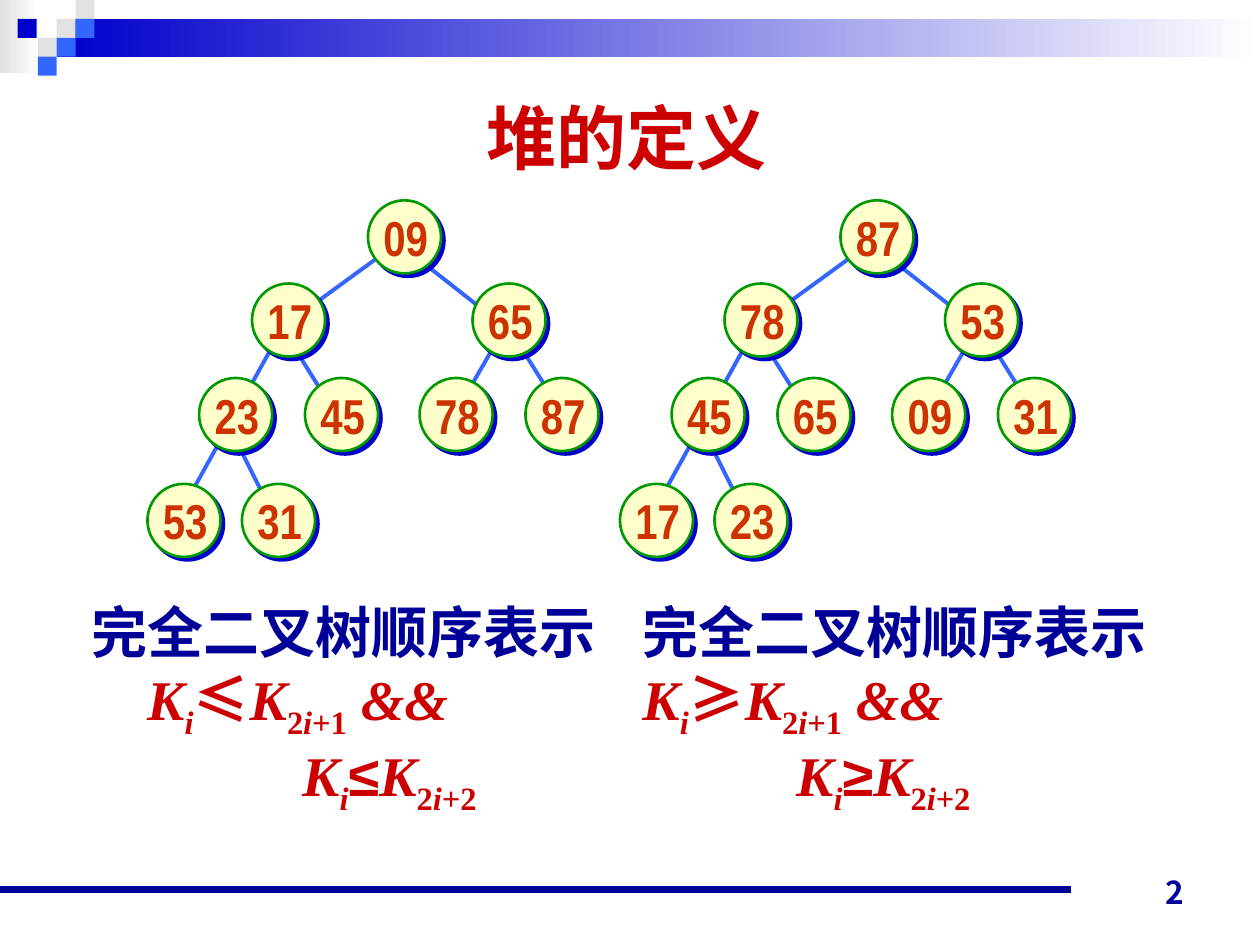
import pptx
import pptx.dml.color
import pptx.enum.dml
import pptx.enum.shapes
import pptx.enum.text
import pptx.oxml.ns
import pptx.util
import lxml.etree

Inches = pptx.util.Inches
Pt = pptx.util.Pt
qn = pptx.oxml.ns.qn
SHAPE = pptx.enum.shapes.MSO_SHAPE
ALIGN = pptx.enum.text.PP_ALIGN
ANCHOR = pptx.enum.text.MSO_ANCHOR

THEME = {
    "grey": "E1E1E1", "white": "FFFFFF", "blue": "0000CC", "bright": "3366FF",
    "navy": "000099", "red": "CC0000", "node": "FFFFCC", "ring": "009900",
    "number": "CC3300", "title_size": 40, "formula_size": 32,
    "node_size": 28, "page_size": 18,
}


def rgb(name):
    return pptx.dml.color.RGBColor.from_string(THEME[name])


def style(font, face, size, color):
    font.name = face
    font.size = Pt(THEME[size])
    font.bold = True
    font.color.rgb = rgb(color)
    lxml.etree.SubElement(font._element, qn("a:ea"), typeface=face)


presentation = pptx.Presentation()
presentation.slide_width = Inches(10)
presentation.slide_height = Inches(7.5)
slide = presentation.slides.add_slide(presentation.slide_layouts[6])
shapes = slide.shapes

for left, top, width, height, color in [
    (0, 0, 0.31, 0.58, "grey"), (0.45, 0.15, 9.55, 0.3, "blue"),
]:
    band = shapes.add_shape(
        SHAPE.RECTANGLE, Inches(left), Inches(top), Inches(width), Inches(height))
    band.shadow.inherit = False
    band.line.fill.background()
    band.fill.gradient()
    band.fill.gradient_angle = 0
    for stop, stop_color, position in zip(
            band.fill.gradient_stops, (color, "white"), (0, 1)):
        stop.color.rgb = rgb(stop_color)
        stop.position = position

for left, top, color in [
    (0.45, 0.15, "grey"), (0.6, 0, "grey"), (0.6, 0.15, "bright"),
    (0.3, 0.3, "grey"), (0.14, 0.15, "blue"), (0.45, 0.3, "bright"),
    (0.3, 0.45, "bright"),
]:
    square = shapes.add_shape(
        SHAPE.RECTANGLE, Inches(left), Inches(top), Inches(0.15), Inches(0.15))
    square.shadow.inherit = False
    square.line.fill.background()
    square.fill.solid()
    square.fill.fore_color.rgb = rgb(color)

lines = [(0, 7.06, 8.5, 7.06, "navy", 4.5)]
tree_edges = [
    (2.25, 2.59, 1.42, 4.09), (3.92, 2.75, 3.58, 3.34),
    (4.08, 2.67, 4.5, 3.34), (2.33, 2.75, 2.75, 3.42),
    (1.92, 3.59, 2.25, 4.25), (3.25, 2, 4, 2.59), (3.17, 1.92, 2.25, 2.59),
]
tree_offsets = (0, 3.75)
for offset in tree_offsets:
    for x1, y1, x2, y2 in tree_edges:
        lines.append((x1 + offset, y1, x2 + offset, y2, "bright", 2.25))
for x1, y1, x2, y2, color, width in lines:
    connector = shapes.add_connector(
        pptx.enum.shapes.MSO_CONNECTOR.STRAIGHT,
        Inches(x1), Inches(y1), Inches(x2), Inches(y2))
    connector.line.color.rgb = rgb(color)
    connector.line.width = Pt(width)
    lxml.etree.SubElement(connector._element.spPr, qn("a:effectLst"))

node_places = [
    (2.92, 1.59), (2, 2.25), (3.75, 2.25), (1.58, 3), (2.42, 3),
    (3.33, 3), (4.17, 3), (1.17, 3.84), (1.92, 3.84),
]
heaps = [
    ("09", "17", "65", "23", "45", "78", "87", "53", "31"),
    ("87", "78", "53", "45", "65", "09", "31", "17", "23"),
]
for offset, heap in zip(tree_offsets, heaps):
    for (left, top), value in zip(node_places, heap):
        node = shapes.add_shape(
            SHAPE.OVAL, Inches(left + offset), Inches(top), Inches(0.58), Inches(0.58))
        node.fill.solid()
        node.fill.fore_color.rgb = rgb("node")
        node.line.color.rgb = rgb("ring")
        node.line.width = Pt(1.5)
        node.shadow.inherit = False
        effects = node._element.spPr.find(qn("a:effectLst"))
        shadow = lxml.etree.SubElement(
            effects, qn("a:outerShdw"), dist=str(Pt(2.8)), dir="2700000",
            algn="ctr", rotWithShape="0")
        lxml.etree.SubElement(shadow, qn("a:srgbClr"), val=THEME["blue"])
        frame = node.text_frame
        frame.margin_left = Inches(0.02)
        frame.margin_right = frame.margin_top = frame.margin_bottom = 0
        frame.word_wrap = False
        frame.vertical_anchor = ANCHOR.MIDDLE
        paragraph = frame.paragraphs[0]
        paragraph.text = value
        paragraph.alignment = ALIGN.CENTER
        style(paragraph.font, "Arial Narrow", "node_size", "number")

for text, left, top, width, height, anchor, alignment, face, size, color in [
    ("堆的定义", 0.47, 0.58, 9, 1.01, ANCHOR.MIDDLE, ALIGN.CENTER,
     "Arial", "title_size", "red"),
    ("2", 7.17, 6.78, 2.33, 0.5, ANCHOR.BOTTOM, ALIGN.RIGHT,
     "Noto Sans CJK JP", "page_size", "navy"),
]:
    label = shapes.add_textbox(Inches(left), Inches(top), Inches(width), Inches(height))
    label.text_frame.word_wrap = True
    label.text_frame.vertical_anchor = anchor
    paragraph = label.text_frame.paragraphs[0]
    paragraph.text = text
    paragraph.alignment = alignment
    style(paragraph.font, face, size, color)

for left, relation, indents in [(0.63, "≤", (0.44, 1.67)), (5, "≥", (0, 1.22))]:
    caption = shapes.add_textbox(Inches(left), Inches(4.69), Inches(4.22), Inches(1.7))
    frame = caption.text_frame
    frame.word_wrap = False
    paragraph = frame.paragraphs[0]
    paragraph.text = "完全二叉树顺序表示"
    style(paragraph.font, "Arial", "formula_size", "navy")
    for indent, relation_face, child, ending in [
        (indents[0], "Noto Sans CJK SC", "+1", " &&"), (indents[1], "Arial", "+2", ""),
    ]:
        paragraph = frame.add_paragraph()
        properties = paragraph._element.get_or_add_pPr()
        properties.set("marL", str(Inches(indent)))
        properties.set("indent", "0")
        for text, italic, subscript in [
            ("K", True, False), ("i", True, True), (relation, False, False),
            ("K", True, False), ("2", False, True), ("i", True, True),
            (child, False, True), (ending, True, False),
        ]:
            if not text:
                continue
            run = paragraph.add_run()
            run.text = text
            face = relation_face if text == relation else "Times New Roman"
            style(run.font, face, "formula_size", "red")
            run.font.italic = italic
            if subscript:
                run.font._element.set("baseline", "-25000")

presentation.save("out.pptx")
